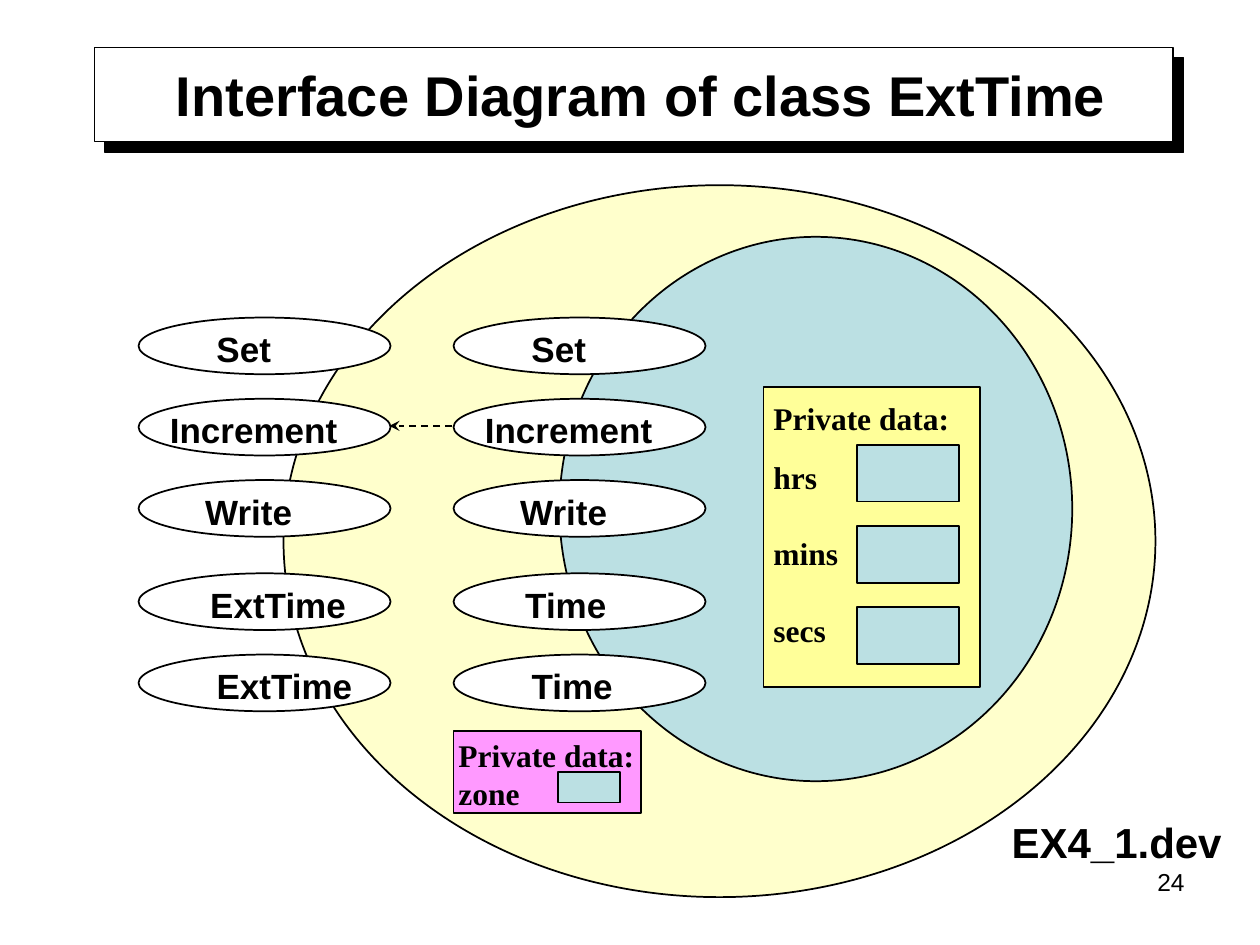
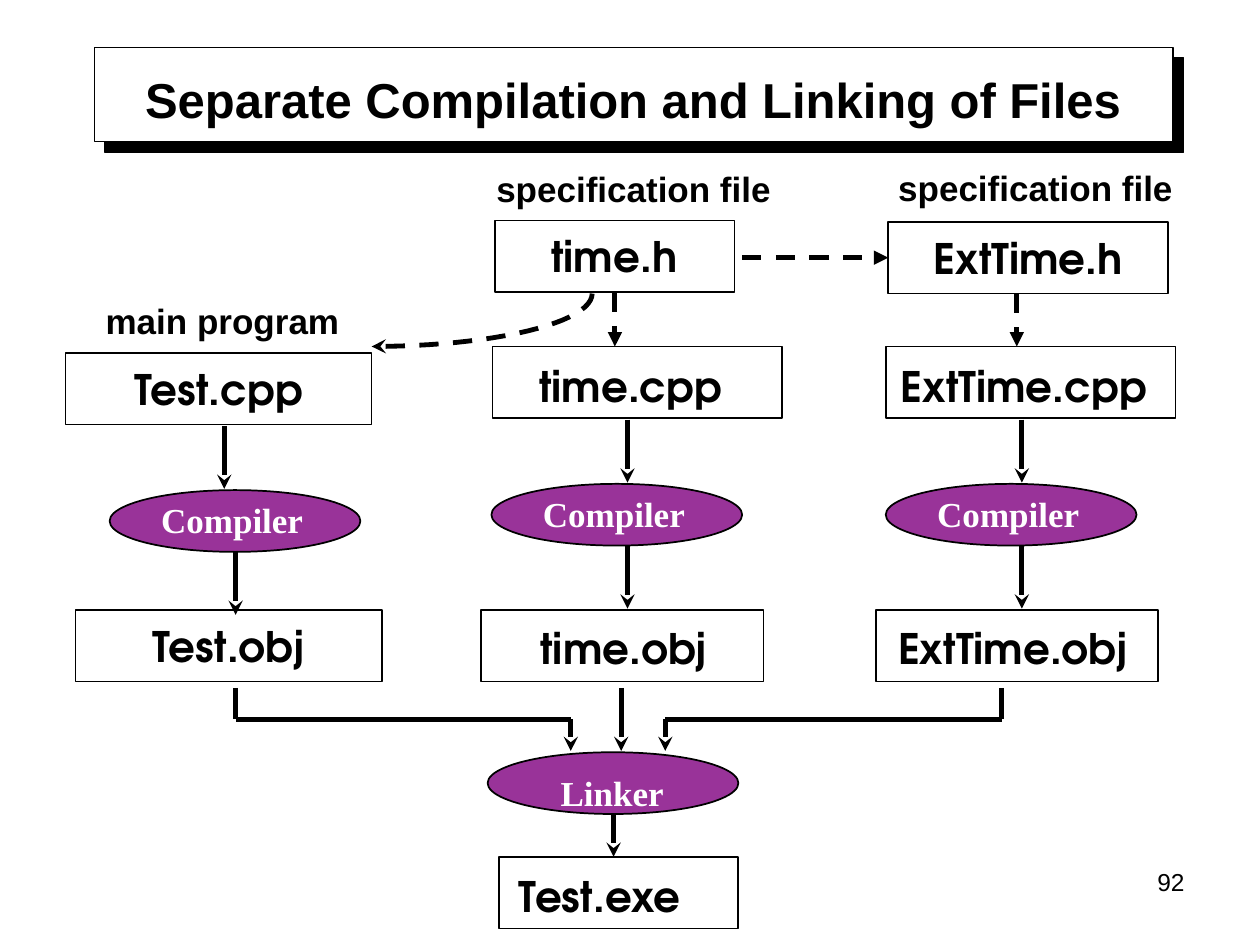
import math
from dataclasses import dataclass
from typing import NamedTuple

import pptx
import pptx.dml.color
import pptx.enum.dml
import pptx.enum.shapes
import pptx.enum.text
import pptx.oxml.ns
import pptx.util
from lxml import etree

RGBColor = pptx.dml.color.RGBColor
Alignment = pptx.enum.text.PP_ALIGN
Anchor = pptx.enum.text.MSO_ANCHOR
RECTANGLE = pptx.enum.shapes.MSO_SHAPE.RECTANGLE
OVAL = pptx.enum.shapes.MSO_SHAPE.OVAL
qn = pptx.oxml.ns.qn

BLACK = RGBColor(0x00, 0x00, 0x00)
WHITE = RGBColor(0xFF, 0xFF, 0xFF)
CREAM = RGBColor(0xFF, 0xFF, 0xCC)
YELLOW = RGBColor(0xFF, 0xFF, 0x99)
PALE_BLUE = RGBColor(0xBB, 0xE0, 0xE3)
PINK = RGBColor(0xFF, 0x99, 0xFF)
PURPLE = RGBColor(0x80, 0x00, 0x80)

# Grid: 100 columns by 75 rows cover the slide
SLIDE_WIDTH = pptx.util.Inches(10)
SLIDE_HEIGHT = pptx.util.Inches(7.5)
COLUMN = SLIDE_WIDTH / 100
ROW = SLIDE_HEIGHT / 75
THICK = 2.75


class Point(NamedTuple):
    column: float
    row: float

    def emu(self) -> tuple[int, int]:
        return round(self.column * COLUMN), round(self.row * ROW)


class Box(NamedTuple):
    left: float
    top: float
    width: float
    height: float

    def emu(self) -> tuple[int, int, int, int]:
        return (*Point(self.left, self.top).emu(), *Point(self.width, self.height).emu())


@dataclass(frozen=True)
class TextStyle:
    font: str
    size: float
    color: RGBColor = BLACK
    bold: bool = True
    align: Alignment = Alignment.LEFT

    @property
    def rows(self) -> float:
        """Height of a one-line box, with its margins."""
        return (self.size * 1.2 + 7.2) / 7.2


TITLE_LARGE = TextStyle("Arial", 32, align=Alignment.CENTER)
TITLE_SMALL = TextStyle("Arial", 28, align=Alignment.CENTER)
PAGE_NUMBER = TextStyle("Arial", 14, bold=False, align=Alignment.RIGHT)
CAPTION = TextStyle("Arial", 20)
EXAMPLE = TextStyle("Arial", 24)
DATA = TextStyle("Times New Roman", 18)
TOOL = TextStyle("Times New Roman", 20, WHITE)
FILE = TextStyle("TeX Gyre Adventor", 24)
FILE_CENTERED = TextStyle("TeX Gyre Adventor", 24, align=Alignment.CENTER)


class Label(NamedTuple):
    text: str
    left: float
    top: float
    width: float
    style: TextStyle


class FileBox(NamedTuple):
    name: str
    box: Box
    label: Box | None = None  # None centres the name in the box
    style: TextStyle = FILE


class Route(NamedTuple):
    points: tuple[Point, ...]
    head: str = "stealth"
    dashed: bool = False


# Drawing functions
def write(frame, lines: list[str], style: TextStyle, gaps: tuple[float, ...] = ()) -> None:
    for index, line in enumerate(lines):
        paragraph = frame.paragraphs[0] if index == 0 else frame.add_paragraph()
        paragraph.text = line
        paragraph.alignment = style.align
        if index and gaps:
            paragraph.space_before = pptx.util.Pt(gaps[index - 1])
        paragraph.font.name = style.font
        paragraph.font.size = pptx.util.Pt(style.size)
        paragraph.font.bold = style.bold
        paragraph.font.color.rgb = style.color


def add_text(slide, box: Box, lines: list[str], style: TextStyle, gaps: tuple[float, ...] = (),
             wrap: bool = False, anchor: Anchor = Anchor.TOP) -> None:
    frame = slide.shapes.add_textbox(*box.emu()).text_frame
    frame.word_wrap = wrap
    frame.vertical_anchor = anchor
    write(frame, lines, style, gaps)


def add_label(slide, label: Label) -> None:
    box = Box(label.left, label.top, label.width, label.style.rows)
    add_text(slide, box, [label.text], label.style)


def add_figure(slide, kind, box: Box, fill: RGBColor | None = None, line_width: float = 1):
    shape = slide.shapes.add_shape(kind, *box.emu())
    shape.shadow.inherit = False
    if fill is None:
        shape.fill.background()
    else:
        shape.fill.solid()
        shape.fill.fore_color.rgb = fill
    shape.line.color.rgb = BLACK
    shape.line.width = pptx.util.Pt(line_width)
    return shape


def style_line(shape, width: float, dashed: bool, head: str | None) -> None:
    shape.line.color.rgb = BLACK
    shape.line.width = pptx.util.Pt(width)
    if dashed:
        shape.line.dash_style = pptx.enum.dml.MSO_LINE.DASH
    if head:
        etree.SubElement(shape.element.spPr.find(qn("a:ln")), qn("a:tailEnd"), type=head)


def add_route(slide, route: Route, width: float = THICK) -> list:
    connectors = []
    last = len(route.points) - 2
    for index, (start, end) in enumerate(zip(route.points, route.points[1:])):
        connector = slide.shapes.add_connector(
            pptx.enum.shapes.MSO_CONNECTOR.STRAIGHT, *start.emu(), *end.emu())
        style_line(connector, width, route.dashed, route.head if index == last else None)
        etree.SubElement(connector.element.spPr, qn("a:effectLst"))
        connectors.append(connector)
    return connectors


def add_frame(presentation, title: str, box: Box, style: TextStyle, anchor: Anchor, number: str):
    """Start a slide with the title band, title and page number."""
    slide = presentation.slides.add_slide(presentation.slide_layouts[6])
    band = add_figure(slide, RECTANGLE, Box(7.5, 3.75, 85.6, 7.5), WHITE, 0.75)
    shadow = etree.SubElement(
        band.element.spPr.find(qn("a:effectLst")), qn("a:outerShdw"),
        dist=str(pptx.util.Pt(8.5)), dir="2700000", algn="ctr", rotWithShape="0")
    etree.SubElement(shadow, qn("a:srgbClr"), val=str(BLACK))
    add_text(slide, box, [title], style, wrap=True, anchor=anchor)
    add_text(slide, Box(71.7, 68.3, 23.3, 5.2), [number], PAGE_NUMBER, wrap=True)
    return slide


# Slide: interface diagram
FUNCTION_COLUMNS = (36, 11)
# Base-class name, derived-class name, label offset, label widths
FUNCTIONS = (
    ("Set", "Set", 5.2, 6.4, 6.4),
    ("Increment", "Increment", 1.5, 15.3, 15.3),
    ("Write", "Write", 4.3, 9, 9),
    ("Time", "ExtTime", 4.7, 8.5, 12.9),
    ("Time", "ExtTime", 5.2, 8.5, 12.9),
)


def function_top(index: int) -> float:
    constructor_gap = 0.95 if index >= 3 else 0
    return 25.2 + 6.45 * index + constructor_gap


def build_interface_slide(presentation) -> None:
    slide = add_frame(presentation, "Interface Diagram of class ExtTime",
                      Box(8.1, 3.7, 85.6, 7.5), TITLE_LARGE, Anchor.MIDDLE, "24")

    # Derived class around base class
    add_figure(slide, OVAL, Box(22.5, 14.7, 69.2, 56.5), CREAM)
    add_figure(slide, OVAL, Box(44.4, 18.8, 40.7, 43.2), PALE_BLUE)

    # Private data of the base class
    add_figure(slide, RECTANGLE, Box(60.6, 30.7, 17.2, 23.8), YELLOW)
    add_text(slide, Box(60.4, 31.2, 16, 20.7), ["Private data:", "hrs", "mins", "secs"],
             DATA, gaps=(12, 22, 22))
    for index in range(3):
        add_figure(slide, RECTANGLE, Box(68, 35.3 + 6.45 * index, 8.1, 4.5), PALE_BLUE)

    # Member functions of both classes
    for side, left in enumerate(FUNCTION_COLUMNS):
        for index, (*names, offset, base_width, derived_width) in enumerate(FUNCTIONS):
            top = function_top(index)
            width = (base_width, derived_width)[side]
            add_figure(slide, OVAL, Box(left, top, 20, 4.5), WHITE)
            add_label(slide, Label(names[side], left + offset, top + 0.3, width, CAPTION))
    add_route(slide, Route((Point(35.9, 33.8), Point(30.9, 33.8)), dashed=True), width=1)

    # Private data of the derived class
    add_figure(slide, RECTANGLE, Box(36, 58, 14.9, 6.5), PINK)
    add_text(slide, Box(35.4, 57.9, 16, 7), ["Private data:", "zone"], DATA, wrap=True)
    add_figure(slide, RECTANGLE, Box(44.3, 61.3, 4.9, 2.4), PALE_BLUE)
    add_label(slide, Label("EX4_1.dev", 79.3, 64.3, 18.9, EXAMPLE))


# Slide: separate compilation
FILES = (
    FileBox("time.h", Box(39.3, 17.5, 19, 5.7), Box(42.3, 17.8, 12.9, 5), FILE_CENTERED),
    FileBox("ExtTime.h", Box(70.5, 17.6, 22.2, 5.7), style=FILE_CENTERED),
    FileBox("Test.cpp", Box(5.2, 28, 24.3, 5.7), style=FILE_CENTERED),
    FileBox("time.cpp", Box(39.1, 27.5, 23, 5.7), Box(41.8, 28.1, 16.6, 5)),
    FileBox("ExtTime.cpp", Box(70.3, 27.5, 23, 5.7), Box(70.5, 28.1, 22.3, 5)),
    FileBox("Test.obj", Box(6, 48.4, 24.3, 5.7), style=FILE_CENTERED),
    FileBox("time.obj", Box(38.2, 48.4, 22.4, 5.7), Box(41.9, 48.9, 15.9, 5)),
    FileBox("ExtTime.obj", Box(69.5, 48.4, 22.4, 5.7), Box(70.3, 48.9, 21.6, 5)),
    FileBox("Test.exe", Box(39.6, 68, 19, 5.7), Box(40.2, 68.6, 15.8, 5)),
)
# Each tool's ellipse corner and its label
TOOLS = (
    (Point(8.7, 38.9), Label("Compiler", 11.8, 39.1, 13.3, TOOL)),
    (Point(39, 38.4), Label("Compiler", 42.1, 38.6, 13.3, TOOL)),
    (Point(70.3, 38.4), Label("Compiler", 73.4, 38.6, 13.3, TOOL)),
    (Point(38.7, 59.7), Label("Linker", 43.5, 60.7, 10.2, TOOL)),
)
CAPTIONS = (
    Label("specification file", 38.4, 12.8, 23.8, CAPTION),
    Label("specification file", 70.3, 12.7, 23.8, CAPTION),
    Label("main program", 7.4, 23.3, 20.6, CAPTION),
)
# Column, first row and last row of each straight-down arrow
DOWN_ARROWS = (
    (17.8, 33.8, 38.8), (18.7, 43.8, 48.8),
    (49.8, 33.3, 38.3), (49.8, 43.3, 48.3),
    (81.1, 33.3, 38.3), (81.1, 43.3, 48.3),
    (49.3, 54.6, 59.6), (48.7, 64.6, 68),
)
# Source and target columns of the bent arrows into the linker
LINKER_INPUTS = ((18.7, 45.3), (79.5, 52.8))


def add_include_curve(slide) -> None:
    """Quarter ellipse from time.h down to Test.cpp."""
    steps = 24
    angles = [math.pi / 2 * step / steps for step in range(steps + 1)]
    points = [Point(29.5 + 17.5 * math.cos(angle), 23.3 + 4.2 * math.sin(angle)).emu()
              for angle in angles]
    builder = slide.shapes.build_freeform(*points[0])
    builder.add_line_segments(points[1:], close=False)
    curve = builder.convert_to_shape()
    curve.shadow.inherit = False
    curve.fill.background()
    style_line(curve, THICK, True, "stealth")


def build_compilation_slide(presentation) -> None:
    slide = add_frame(presentation, "Separate Compilation and Linking of Files",
                      Box(7.8, 4.4, 84.9, 6.3), TITLE_SMALL, Anchor.BOTTOM, "92")

    # Files
    shapes = {}
    for file in FILES:
        shapes[file.name] = shape = add_figure(slide, RECTANGLE, file.box)
        if file.label:
            add_text(slide, file.label, [file.name], file.style)
        else:
            shape.text_frame.word_wrap = False
            shape.text_frame.vertical_anchor = Anchor.MIDDLE
            write(shape.text_frame, [file.name], file.style)
    for caption in CAPTIONS:
        add_label(slide, caption)

    # Compilers and linker
    for corner, label in TOOLS:
        ellipse = add_figure(slide, OVAL, Box(*corner, 19.9, 4.9), PURPLE)
        color = ellipse.element.spPr.find(qn("a:solidFill")).find(qn("a:srgbClr"))
        etree.SubElement(color, qn("a:alpha"), val="80000")
        add_label(slide, label)

    # Build steps
    for column, start, end in DOWN_ARROWS:
        add_route(slide, Route((Point(column, start), Point(column, end))))
    for source, target in LINKER_INPUTS:
        add_route(slide, Route((Point(source, 54.6), Point(source, 57.1),
                                Point(target, 57.1), Point(target, 59.6))))

    # Header inclusion
    add_include_curve(slide)
    to_source, to_header, _ = [
        add_route(slide, Route((start, end), "triangle", True))[0]
        for start, end in ((Point(48.8, 23.2), Point(48.8, 27.5)),
                           (Point(58.9, 20.45), Point(70.5, 20.45)),
                           (Point(80.7, 23.3), Point(80.7, 27.5)))]
    to_source.begin_connect(shapes["time.h"], 2)
    to_header.end_connect(shapes["ExtTime.h"], 1)


def main() -> None:
    presentation = pptx.Presentation()
    presentation.slide_width = SLIDE_WIDTH
    presentation.slide_height = SLIDE_HEIGHT
    build_interface_slide(presentation)
    build_compilation_slide(presentation)
    presentation.save("out.pptx")


if __name__ == "__main__":
    main()
